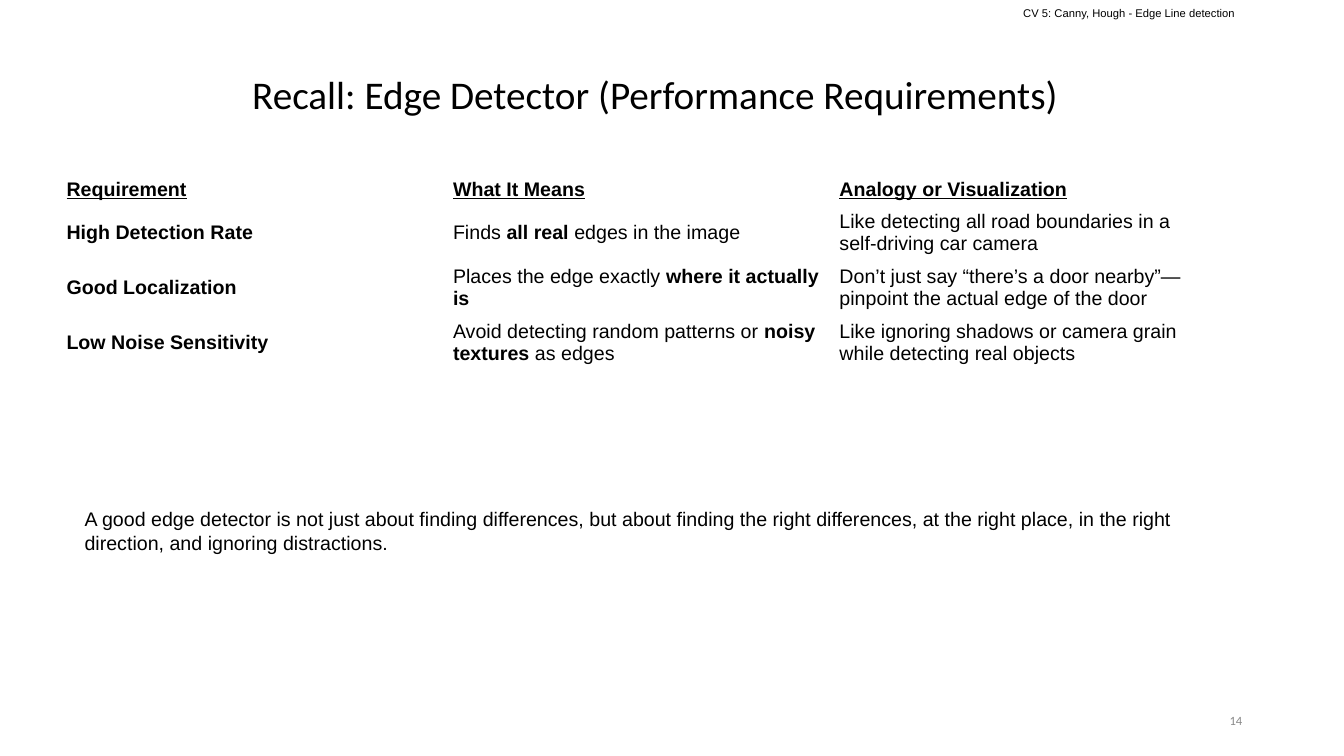
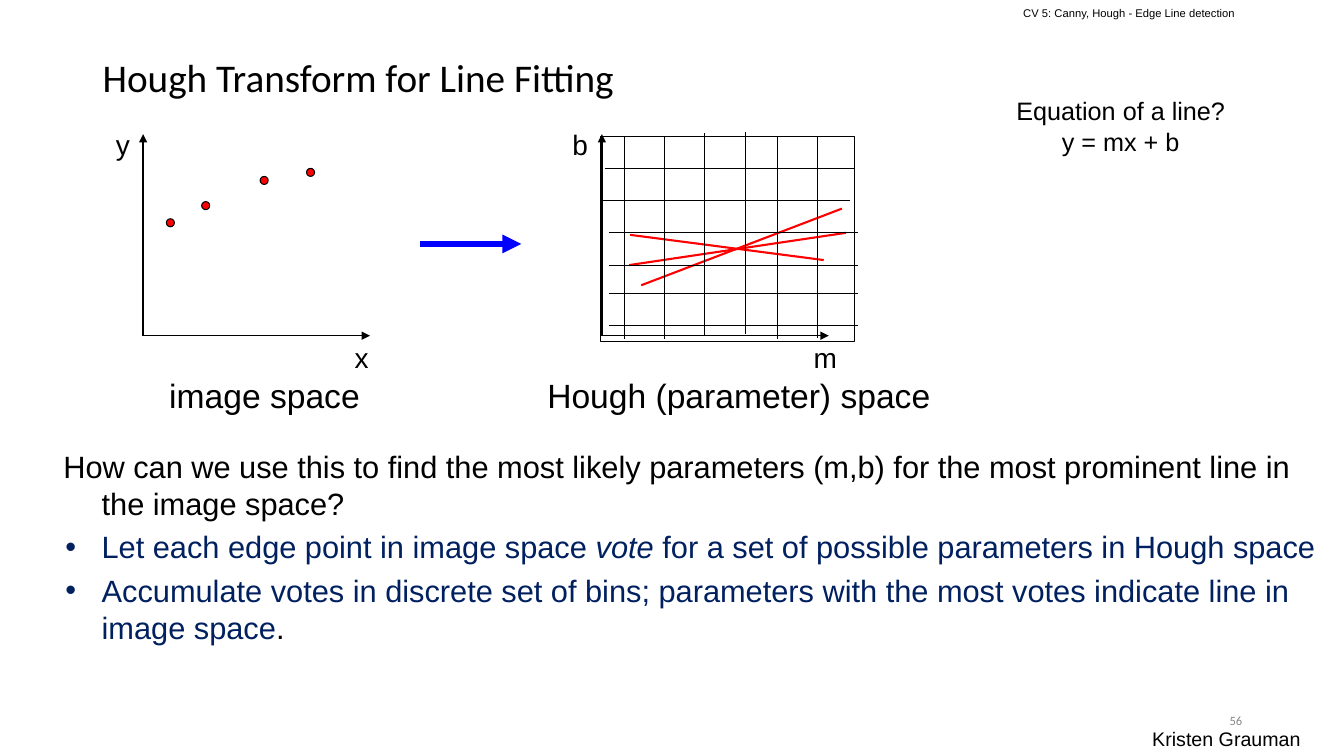
from lxml import etree
from pptx import Presentation
from pptx.dml.color import RGBColor
from pptx.enum.shapes import MSO_CONNECTOR, MSO_SHAPE
from pptx.enum.text import MSO_ANCHOR, PP_ALIGN
from pptx.oxml.ns import qn
from pptx.util import Inches, Pt

LEFT, CENTER, RIGHT = PP_ALIGN.LEFT, PP_ALIGN.CENTER, PP_ALIGN.RIGHT
TOP, MIDDLE = MSO_ANCHOR.TOP, MSO_ANCHOR.MIDDLE
STRAIGHT = MSO_CONNECTOR.STRAIGHT
OVAL, RECTANGLE = MSO_SHAPE.OVAL, MSO_SHAPE.RECTANGLE

BLACK, GREY, RED, BLUE, NAVY = "000000", "888888", "FF0000", "0000FF", "002060"
BOLD, PLAIN = {"bold": True}, {"bold": False}
HEADING = {"bold": True, "underline": True}


def color(value):
    return RGBColor.from_string(value)


def set_values(target, values):
    for name, value in values.items():
        setattr(target, name, value)


class Deck:
    header = "CV 5: Canny, Hough - Edge Line detection"
    body = {"name": "Arial", "size": 14, "color": BLACK}
    title = {"name": "Calibri", "size": 28}
    number = {"name": "Calibri", "size": 9, "color": GREY}

    def __init__(self):
        self.presentation = Presentation()
        self.presentation.slide_width = Inches(13.33)
        self.presentation.slide_height = Inches(7.5)
        self.page = None
        self.canvas = None

    def add_page(self, title, number, top, align):
        blank = self.presentation.slide_layouts[6]
        self.page = self.presentation.slides.add_slide(blank)
        self.canvas = self.page.shapes
        self.text((10.05, 0, 3.28, 0.34), self.header, {"size": 8}, inset=0.07)
        box = self.text((0.92, top, 11.15, 1.12), title, self.title, align, MIDDLE)
        box.text_frame.paragraphs[0].line_spacing = 0.9
        self.text((9.42, 6.95, 3, 0.4), str(number), self.number, RIGHT, MIDDLE)

    def add_spans(self, para, spans, style):
        if isinstance(spans, str):
            spans = [(spans, {})]
        for words, changes in spans:
            span = para.add_run()
            span.text = words
            values = {**self.body, **style, **changes}
            span.font.color.rgb = color(values.pop("color"))
            values["size"] = Pt(values["size"])
            set_values(span.font, values)

    def text(self, place, paragraphs, style, align=LEFT, anchor=TOP, inset=0.05):
        box = self.canvas.add_textbox(*map(Inches, place))
        frame = box.text_frame
        set_values(frame, {
            "word_wrap": True, "vertical_anchor": anchor,
            "margin_left": Inches(0.1), "margin_right": Inches(0.1),
            "margin_top": Inches(inset), "margin_bottom": Inches(inset)})
        if isinstance(paragraphs, str):
            paragraphs = [paragraphs]
        for index, spans in enumerate(paragraphs):
            para = frame.add_paragraph() if index else frame.paragraphs[0]
            para.alignment = align
            self.add_spans(para, spans, style)
        return box

    def indent(self, para, margin, hanging):
        properties = para._p.get_or_add_pPr()
        properties.set("marL", str(Inches(margin)))
        properties.set("indent", str(-Inches(hanging)))
        return properties

    def bullet(self, para, fill):
        para.space_before = Pt(4.8)
        properties = self.indent(para, 0.38, 0.36)
        tint = etree.SubElement(properties, qn("a:buClr"))
        etree.SubElement(tint, qn("a:srgbClr"), val=fill)
        etree.SubElement(properties, qn("a:buFont"), typeface="Arial")
        etree.SubElement(properties, qn("a:buChar"), char="•")

    def table(self, place, heights, rows):
        frame = self.canvas.add_table(len(rows), len(rows[0]), *map(Inches, place))
        table = frame.table
        set_values(table, {"first_row": False, "horz_banding": False})
        for row, height, contents in zip(table.rows, heights, rows):
            row.height = Inches(height)
            for cell, spans in zip(row.cells, contents):
                set_values(cell, {
                    "vertical_anchor": MIDDLE,
                    "margin_left": Inches(0.09), "margin_right": Inches(0.09),
                    "margin_top": Inches(0.04), "margin_bottom": Inches(0.04)})
                cell.fill.background()
                self.add_spans(cell.text_frame.paragraphs[0], spans, PLAIN)

    def line(self, start, end, stroke=BLACK, width=0.75, arrow=False):
        line = self.canvas.add_connector(STRAIGHT, *map(Inches, (*start, *end)))
        line.line.color.rgb = color(stroke)
        line.line.width = Pt(width)
        properties = line.element.spPr
        if arrow:
            etree.SubElement(properties.find(qn("a:ln")), qn("a:tailEnd"), type="triangle")
        etree.SubElement(properties, qn("a:effectLst"))

    def shape(self, kind, place, fill=None):
        shape = self.canvas.add_shape(kind, *map(Inches, place))
        shape.shadow.inherit = False
        if fill:
            shape.fill.solid()
            shape.fill.fore_color.rgb = color(fill)
        else:
            shape.fill.background()
        shape.line.color.rgb = color(BLACK)
        shape.line.width = Pt(0.75)

    def axes(self, left, across, across_width, up, up_left):
        base, top = 3.33, 1.33
        self.line((left, base), (left, top), width=1, arrow=True)
        self.line((left, base), (left + 2.25, base), width=1, arrow=True)
        self.text((left + 2, base, across_width, 0.44), across, {"size": 20})
        self.text((up_left, 1.22, 0.36, 0.44), up, {"size": 20})


def add_requirements(deck):
    deck.add_page("Recall: Edge Detector (Performance Requirements)", 14, 0.4, CENTER)
    headings = ["Requirement", "What It Means", "Analogy or Visualization"]
    rows = [
        [[(heading, HEADING)] for heading in headings],
        [[("High Detection Rate", BOLD)],
         [("Finds ", {}), ("all real", BOLD), (" edges in the image", {})],
         "Like detecting all road boundaries in a self-driving car camera"],
        [[("Good Localization", BOLD)],
         [("Places the edge exactly ", {}), ("where it actually is", BOLD)],
         "Don’t just say “there’s a door nearby”—pinpoint the actual edge of the door"],
        [[("Low Noise Sensitivity", BOLD)],
         [("Avoid detecting random patterns or ", {}), ("noisy textures", BOLD),
          (" as edges", {})],
         "Like ignoring shadows or camera grain while detecting real objects"],
    ]
    deck.table((0.57, 1.72, 11.5, 1.92), [0.31] + [0.53] * 3, rows)
    deck.text((0.74, 4.98, 11.68, 0.57),
              "A good edge detector is not just about finding differences, but about "
              "finding the right differences, at the right place, in the right direction, "
              "and ignoring distractions.", {})


def add_hough_grid(deck):
    deck.canvas = deck.page.shapes.add_group_shape().shapes
    deck.shape(RECTANGLE, (5.96, 1.35, 2.52, 2.04))
    rows = [(6, 1.67), (5.96, 1.99), (6.04, 2.31), (6.04, 2.63), (6.04, 2.91), (6.04, 3.23)]
    for left, y in rows:
        deck.line((left, y), (left + 2.47, y))
    columns = [(6.19, 1.36), (6.59, 1.36), (6.99, 1.32), (7.39, 1.31), (7.71, 1.36), (8.11, 1.35)]
    for x, top in columns:
        deck.line((x, top), (x, top + 2))
    deck.canvas = deck.page.shapes


def add_hough(deck):
    deck.add_page("Hough Transform for Line Fitting", 56, 0.23, LEFT)
    deck.text((11.33, 7.16, 2, 0.34), "Kristen Grauman", {})
    deck.text((9.74, 0.9, 2.75, 0.71), ["Equation of a line?", "y = mx + b"],
              {"size": 18}, CENTER)
    deck.axes(1.42, "x", 0.34, "y", 1.05)
    deck.axes(5.97, "m", 0.45, "b", 5.58)
    for left, width, caption in [(1.58, 2.2, "image space"),
                                 (5.33, 4.04, "Hough (parameter) space")]:
        deck.text((left, 3.67, width, 0.5), caption, {"size": 24})
    deck.line((4.17, 2.42), (5.17, 2.42), BLUE, 4.5, arrow=True)
    for left, top in [(1.65, 2.17), (2, 2), (2.58, 1.75), (3.04, 1.67)]:
        deck.shape(OVAL, (left, top, 0.08, 0.08), RED)
    for start, end in [((6.25, 2.33), (8.17, 2.58)),
                       ((6.36, 2.83), (8.35, 2.07)),
                       ((6.24, 2.63), (8.39, 2.31))]:
        deck.line(start, end, RED, 1.5)
    add_hough_grid(deck)

    navy = {"color": NAVY}
    box = deck.text((0.53, 4.39, 12.65, 2.08), [
        "How can we use this to find the most likely parameters (m,b) for the most "
        "prominent line in the image space?",
        [("Let each edge point in image space ", navy),
         ("vote ", {"color": NAVY, "italic": True}),
         ("for a set of possible parameters in Hough space", navy)],
        [("Accumulate votes in discrete set of bins; parameters with the most votes "
          "indicate line in image space", navy), (".", {})],
    ], {"size": 22})
    question, *answers = box.text_frame.paragraphs
    deck.indent(question, 0.38, 0.38)
    for para in answers:
        deck.bullet(para, NAVY)


def main():
    deck = Deck()
    add_requirements(deck)
    add_hough(deck)
    deck.presentation.save("out.pptx")


if __name__ == "__main__":
    main()
